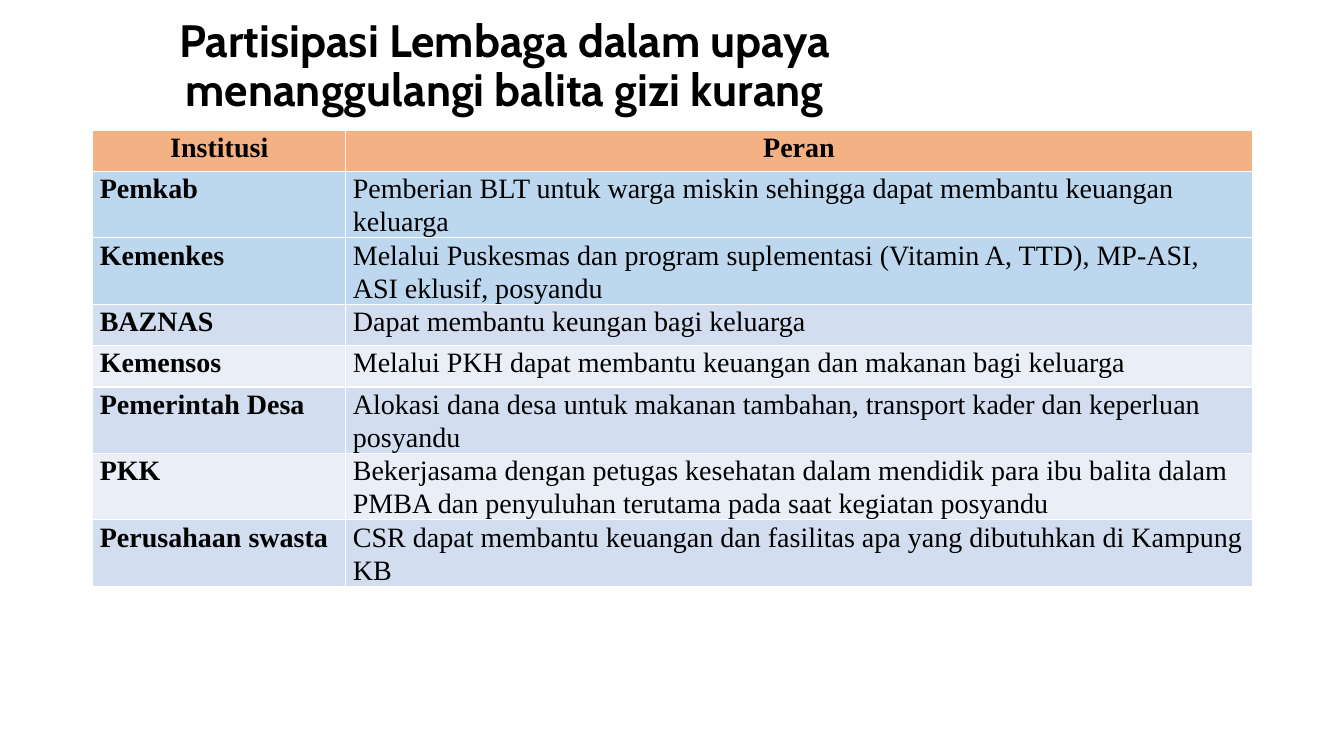
from pptx import Presentation
from pptx.dml.color import RGBColor
from pptx.enum.text import MSO_ANCHOR, MSO_AUTO_SIZE, PP_ALIGN
from pptx.util import Inches, Pt

CENTER, LEFT = PP_ALIGN.CENTER, PP_ALIGN.LEFT
MIDDLE = MSO_ANCHOR.MIDDLE
NO_FIT = MSO_AUTO_SIZE.NONE

TITLE = "Partisipasi Lembaga dalam upaya menanggulangi balita gizi kurang"
HEADER = ("Institusi", "Peran")
ROLES = [
    ("Pemkab", "Pemberian BLT untuk warga miskin sehingga dapat membantu keuangan keluarga"),
    ("Kemenkes", "Melalui Puskesmas dan program suplementasi (Vitamin A, TTD), MP-ASI, ASI eklusif, posyandu"),
    ("BAZNAS", "Dapat membantu keungan bagi keluarga"),
    ("Kemensos", "Melalui PKH dapat membantu keuangan dan makanan bagi keluarga"),
    ("Pemerintah Desa", "Alokasi dana desa untuk makanan tambahan, transport kader dan keperluan posyandu"),
    ("PKK", "Bekerjasama dengan petugas kesehatan dalam mendidik para ibu balita dalam PMBA dan penyuluhan terutama pada saat kegiatan posyandu"),
    ("Perusahaan swasta", "CSR dapat membantu keuangan dan fasilitas apa yang dibutuhkan di Kampung KB"),
]
HEADER_FILL, HIGHLIGHT_FILL = "F4B183", "BDD7EE"
BAND_FILLS = ("EAEFF7", "D2DEEF")
HIGHLIGHT_ROWS = 2
COLUMN_WIDTHS = (2.51, 8.99)
ROW_HEIGHT = 0.41
MARGIN = 0.92


def color(value):
    return RGBColor.from_string(value)


def write(para, text, font, size, bold, align, spacing):
    para.alignment = align
    para.line_spacing = spacing
    span = para.add_run()
    span.text = text
    span.font.name = font
    span.font.size = Pt(size)
    span.font.bold = bold
    span.font.color.rgb = color("000000")


def row_fill(row):
    if row == 0:
        return HEADER_FILL
    if row <= HIGHLIGHT_ROWS:
        return HIGHLIGHT_FILL
    return BAND_FILLS[row % 2]


def add_title(page):
    box = page.shapes.title
    box.left, box.top = Inches(MARGIN), Inches(0.26)
    box.width, box.height = Inches(8.17), Inches(0.81)
    frame = box.text_frame
    frame.word_wrap = True
    frame.auto_size = NO_FIT
    frame.vertical_anchor = MIDDLE
    write(frame.paragraphs[0], TITLE, "Cabin", 32.4, True, CENTER, 0.9)


def add_roles(page):
    rows = [HEADER] + ROLES
    table = page.shapes.add_table(
        len(rows), len(HEADER), Inches(MARGIN), Inches(1.29),
        Inches(sum(COLUMN_WIDTHS)), Inches(ROW_HEIGHT * len(rows))).table
    for column, width in zip(table.columns, COLUMN_WIDTHS):
        column.width = Inches(width)
    for r, texts in enumerate(rows):
        table.rows[r].height = Inches(ROW_HEIGHT)
        for c, text in enumerate(texts):
            cell = table.cell(r, c)
            cell.margin_left = cell.margin_right = Inches(0.07)
            cell.margin_top = cell.margin_bottom = 0
            cell.fill.solid()
            cell.fill.fore_color.rgb = color(row_fill(r))
            para = cell.text_frame.paragraphs[0]
            para.space_after = Pt(8)
            write(para, text, "Times New Roman", 20, r == 0 or c == 0,
                  CENTER if r == 0 else LEFT, 1.07)


def main():
    deck = Presentation()
    deck.slide_width, deck.slide_height = Inches(13.33), Inches(7.5)
    page = deck.slides.add_slide(deck.slide_layouts[5])
    add_title(page)
    add_roles(page)
    deck.save("out.pptx")


if __name__ == "__main__":
    main()
